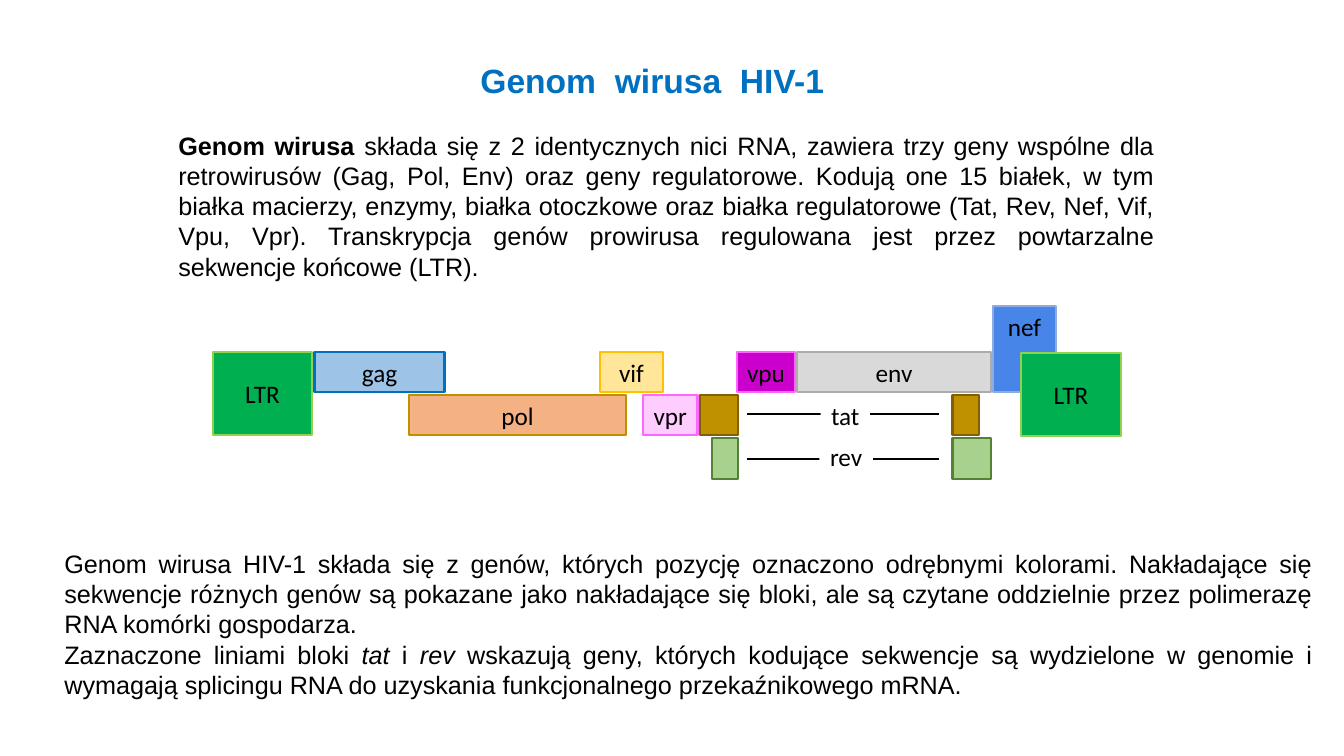
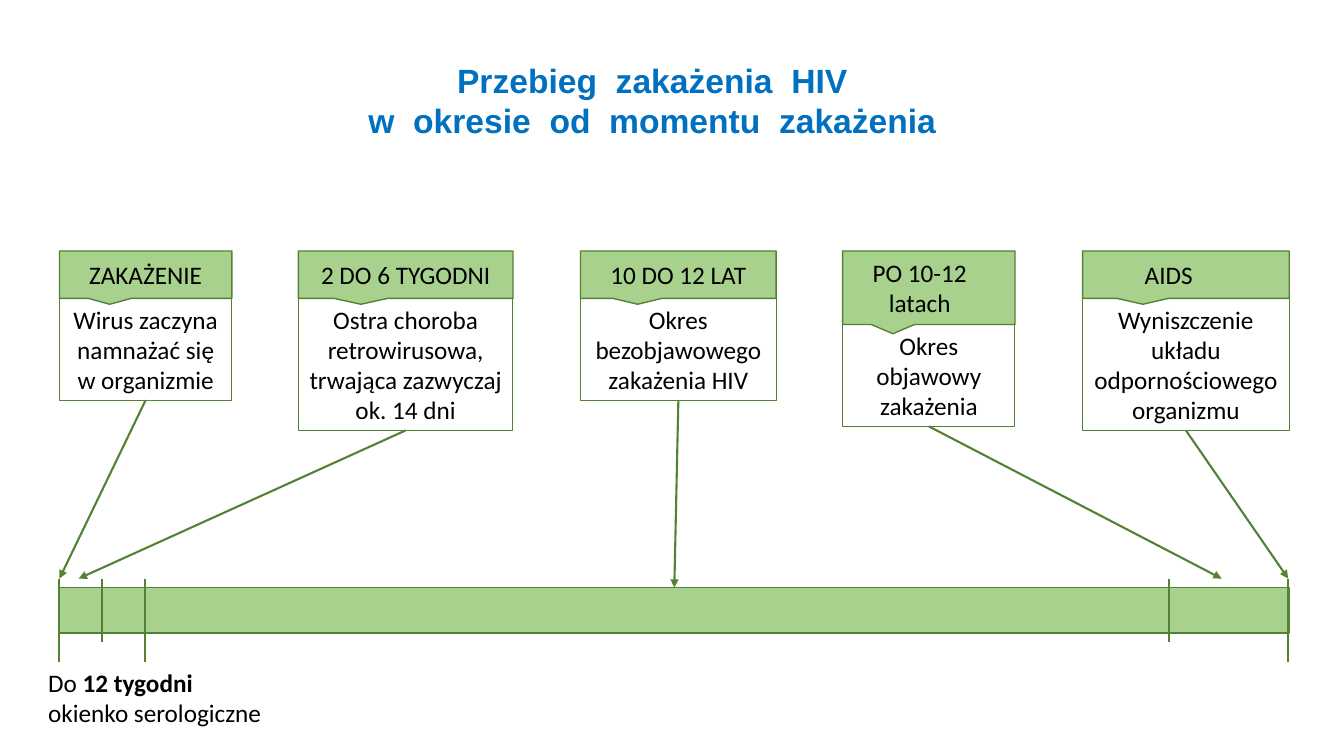
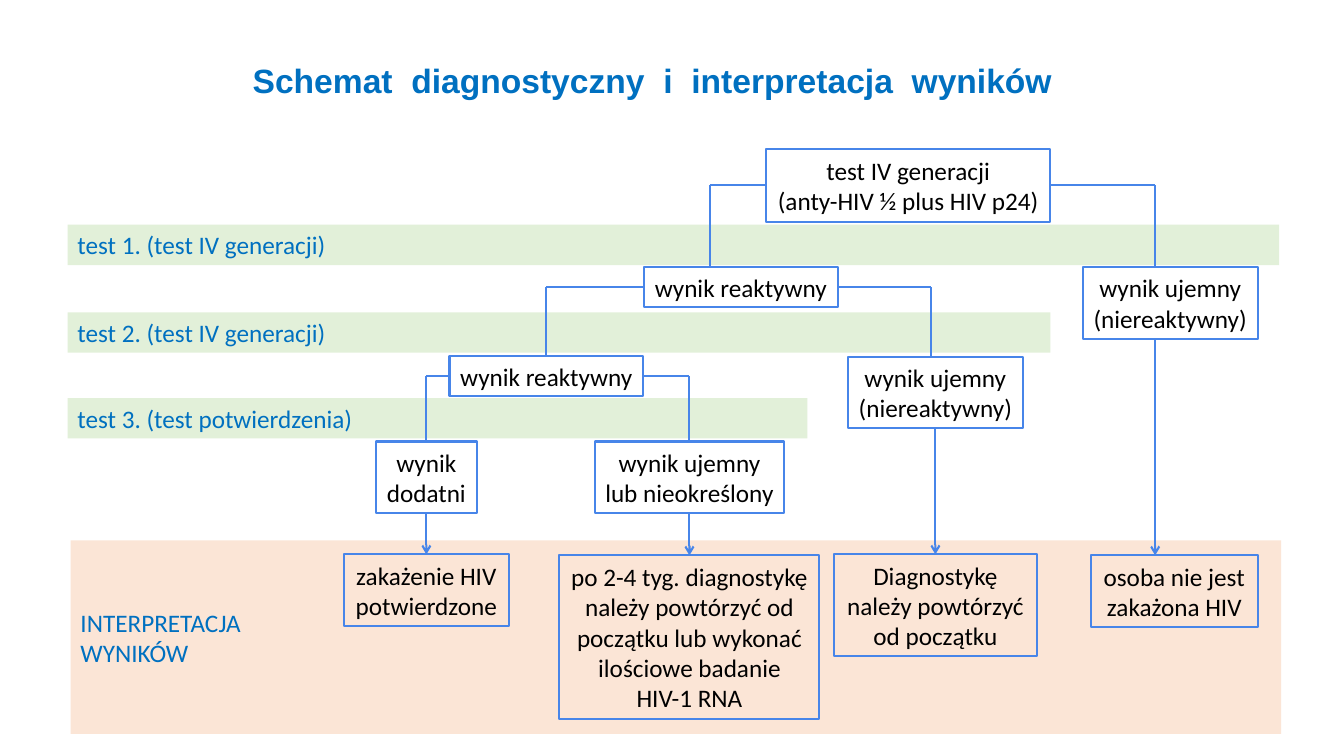
from dataclasses import dataclass

from lxml import etree
from pptx import Presentation
from pptx.dml.color import RGBColor
from pptx.enum.shapes import MSO_CONNECTOR, MSO_SHAPE
from pptx.enum.text import MSO_ANCHOR, MSO_AUTO_SIZE, PP_ALIGN
from pptx.oxml.ns import qn
from pptx.util import Pt

PX = 9144
TITLE_ONLY = 5
RECT, CALLOUT = MSO_SHAPE.RECTANGLE, MSO_SHAPE.RECTANGULAR_CALLOUT
STRAIGHT = MSO_CONNECTOR.STRAIGHT
LEFT, CENTER, JUSTIFY = PP_ALIGN.LEFT, PP_ALIGN.CENTER, PP_ALIGN.JUSTIFY
TOP, MIDDLE = MSO_ANCHOR.TOP, MSO_ANCHOR.MIDDLE
FIXED = MSO_AUTO_SIZE.NONE
TOP_SIDE, LEFT_SIDE, BOTTOM_SIDE, RIGHT_SIDE = range(4)


@dataclass(frozen=True)
class Theme:
    """Colours, fonts and type sizes of the deck."""

    title: str = "0070C0"
    ink: str = "000000"
    white: str = "FFFFFF"
    green: str = "A9D18E"
    green_edge: str = "548235"
    ltr: str = "00B050"
    ltr_edge: str = "92D050"
    gold: str = "BF9000"
    gold_edge: str = "806000"
    pink_edge: str = "FF66FF"
    blue: str = "4785E9"
    pale_green: str = "E2F0D9"
    peach: str = "FBE5D6"
    title_font: str = "Arial"
    text_font: str = "Calibri"
    title_size: int = 24
    text_size: int = 18
    word_gap: int = 667
    edge: float = 1.5


THEME = Theme()


class Deck:
    """Holds the presentation, its style and the current page."""

    def __init__(self, theme):
        self.theme = theme
        self.show = Presentation()
        self.show.slide_width, self.show.slide_height = 12192000, 6858000
        self.page = None

    def style(self, span, font, size, color, bold=False, italic=False):
        """Format one run."""
        span.font.name, span.font.size = font, Pt(size)
        span.font.bold, span.font.italic = bold, italic
        span.font.color.rgb = RGBColor.from_string(color)

    def new_page(self, title, height=50):
        """Start a page with a title whose words are set wide apart."""
        theme = self.theme
        self.page = self.show.slides.add_slide(self.show.slide_layouts[TITLE_ONLY])
        box = self.page.shapes.title
        box.left, box.top, box.width, box.height = [
            n * PX for n in (167, 54, 960, height)]
        frame = box.text_frame
        frame.auto_size, frame.vertical_anchor = FIXED, TOP
        for i, line in enumerate(title.split("\n")):
            para = frame.add_paragraph() if i else frame.paragraphs[0]
            para.alignment = CENTER
            for j, word in enumerate(line.split()):
                if j:
                    gap = para.add_run()
                    gap.text = " "
                    gap._r.get_or_add_rPr().set("spc", str(theme.word_gap))
                para.add_run().text = word
            for span in para.runs:
                self.style(span, theme.title_font, theme.title_size, theme.title, True)

    def set_text(self, frame, text, color=None, align=CENTER, anchor=MIDDLE, wrap=False):
        """Fill a frame with plain lines."""
        theme = self.theme
        frame.word_wrap, frame.vertical_anchor = wrap, anchor
        frame.text = text
        for para in frame.paragraphs:
            para.alignment = align
            for span in para.runs:
                self.style(span, theme.text_font, theme.text_size, color or theme.ink)

    def rich_text(self, at, paragraphs, font, align):
        """Add a text box of paragraphs made of (words, look) spans."""
        box = self.page.shapes.add_textbox(*[n * PX for n in at])
        frame = box.text_frame
        frame.word_wrap = True
        for i, spans in enumerate(paragraphs):
            para = frame.add_paragraph() if i else frame.paragraphs[0]
            para.alignment = align
            for words, look in spans:
                span = para.add_run()
                span.text = words
                self.style(span, font, self.theme.text_size, self.theme.ink,
                           look == "bold", look == "italic")

    def shape(self, at, text="", fill=None, edge=None, width=None, kind=RECT, **setting):
        """Add a preset shape with its text."""
        box = self.page.shapes.add_shape(kind, *[n * PX for n in at])
        box.shadow.inherit = False
        if fill:
            box.fill.solid()
            box.fill.fore_color.rgb = RGBColor.from_string(fill)
        else:
            box.fill.background()
        if edge:
            box.line.color.rgb = RGBColor.from_string(edge)
            box.line.width = Pt(width or self.theme.edge)
        else:
            box.line.fill.background()
        if text:
            self.set_text(box.text_frame, text, **setting)
        return box

    def line(self, start, end, color, arrow=None):
        """Draw a line between ends given as (x, y) or (shape, side)."""
        joined = [not isinstance(point[0], int) for point in (start, end)]
        x1, y1 = (0, 0) if joined[0] else start
        x2, y2 = (0, 0) if joined[1] else end
        link = self.page.shapes.add_connector(
            STRAIGHT, x1 * PX, y1 * PX, x2 * PX, y2 * PX)
        if joined[0]:
            link.begin_connect(*start)
        if joined[1]:
            link.end_connect(*end)
        link.line.color.rgb = RGBColor.from_string(color)
        link.line.width = Pt(self.theme.edge)
        if arrow:
            etree.SubElement(link.line._get_or_add_ln(), qn("a:tailEnd"), type=arrow)
        etree.SubElement(link._element.spPr, qn("a:effectLst"))


def genome_page(deck):
    """Build the gene map."""
    theme = deck.theme
    deck.new_page("Genom wirusa HIV-1")
    deck.rich_text((167, 124, 988, 162), [[
        ("Genom wirusa ", "bold"),
        ("składa się z 2 identycznych nici RNA, zawiera trzy geny wspólne dla "
         "retrowirusów (Gag, Pol, Env) oraz geny regulatorowe. Kodują one 15 białek, "
         "w tym białka macierzy, enzymy, białka otoczkowe oraz białka regulatorowe "
         "(Tat, Rev, Nef, Vif, Vpu, Vpr). Transkrypcja genów prowirusa regulowana "
         "jest przez powtarzalne sekwencje końcowe (LTR).", ""),
    ]], theme.title_font, JUSTIFY)

    upper, middle, lower = 349, 392, 435
    genes = [
        ("gag", 312, upper, 129, "9DC3E6", "0070C0"),
        ("pol", 406, middle, 215, "F4B183", theme.gold),
        ("vif", 595, upper, 63, "FFE699", "FFC000"),
        ("vpr", 638, middle, 54, "FFCCFF", theme.pink_edge),
        ("", 694, middle, 38, theme.gold, theme.gold_edge),
        ("", 945, middle, 26, theme.gold, theme.gold_edge),
        ("", 706, lower, 26, theme.green, theme.green_edge),
        ("", 945, lower, 38, theme.green, theme.green_edge),
        ("vpu", 731, upper, 58, "CC00CC", theme.pink_edge),
        ("env", 791, upper, 192, "D9D9D9", "AFABAB"),
    ]
    for name, left, top, width, fill, edge in genes:
        deck.shape((left, top, width, 40), name, fill, edge)
    deck.shape((985, 304, 63, 85), "nef", theme.blue, "8FAADC", anchor=TOP)
    for left, top in ((211, 349), (1013, 350)):
        deck.shape((left, top, 99, 83), "LTR", theme.ltr, theme.ltr_edge)
    for name, left, top, width, y in (("tat", 814, 392, 49, 411),
                                      ("rev", 813, 433, 53, 455)):
        deck.line((741, y), (932, y), theme.ink)
        deck.shape((left, top, width, 40), name, theme.white)

    deck.rich_text((54, 539, 1258, 162), [
        [("Genom wirusa HIV-1 składa się z genów, których pozycję oznaczono odrębnymi "
          "kolorami. Nakładające się sekwencje różnych genów są pokazane jako "
          "nakładające się bloki, ale są czytane oddzielnie przez polimerazę RNA "
          "komórki gospodarza.", "")],
        [("Zaznaczone liniami bloki ", ""), ("tat", "italic"), (" i ", ""),
         ("rev", "italic"),
         (" wskazują geny, których kodujące sekwencje są wydzielone w genomie i "
          "wymagają splicingu RNA do uzyskania funkcjonalnego przekaźnikowego mRNA.",
          "")],
    ], theme.title_font, JUSTIFY)


def course_page(deck):
    """Build the timeline of the infection."""
    theme = deck.theme
    edge = theme.green_edge
    deck.new_page("Przebieg zakażenia HIV\nw okresie od momentu zakażenia", 91)
    timeline = deck.shape((59, 583, 1220, 45), "", theme.green, edge, 1)
    stages = [
        ("ZAKAŻENIE", "Wirus zaczyna\nnamnażać się\nw organizmie",
         59, 171, 47, 101, 0, (59, 574)),
        ("2 DO 6 TYGODNI", "Ostra choroba retrowirusowa, trwająca zazwyczaj ok. 14 dni",
         296, 213, 47, 131, 0, (78, 574)),
        ("10 DO 12 LAT", "Okres bezobjawowego zakażenia HIV",
         576, 194, 47, 101, 0, (timeline, TOP_SIDE)),
        ("PO 10-12\nlatach", "Okres objawowy zakażenia",
         836, 171, 73, 101, 9, (1212, 574)),
        ("AIDS", "Wyniszczenie układu odpornościowego organizmu",
         1074, 205, 47, 131, 17, (1278, 574)),
    ]
    for head, text, left, width, head_height, height, shift, target in stages:
        body = deck.shape((left, 249 + head_height, width, height), text,
                          edge=edge, width=0.75, wrap=True)
        label = deck.shape((left, 249, width, head_height), head, theme.green, edge, 1,
                           CALLOUT, wrap=True)
        label.text_frame.margin_right = (10 + 2 * shift) * PX
        deck.line((body, BOTTOM_SIDE), target, edge, "triangle")
    for x, bottom in ((59, 657), (144, 657), (1278, 657), (101, 637), (1160, 637)):
        deck.line((x, 574), (x, bottom), edge)
    deck.rich_text((38, 657, 250, 71), [
        [("Do ", ""), ("12 tygodni", "bold")],
        [("okienko serologiczne", "")],
    ], theme.text_font, LEFT)


def diagnosis_page(deck):
    """Build the decision tree of the tests."""
    theme = deck.theme
    blue = theme.blue
    deck.new_page("Schemat diagnostyczny i interpretacja wyników")
    bands = [
        ("INTERPRETACJA\nWYNIKÓW", (70, 536, 1201, 192), theme.peach),
        ("test 1. (test IV generacji)", (67, 223, 1202, 40), theme.pale_green),
        ("test 2. (test IV generacji)", (67, 310, 975, 40), theme.pale_green),
        ("test 3. (test potwierdzenia)", (67, 395, 734, 40), theme.pale_green),
    ]
    for text, at, fill in bands:
        deck.shape(at, text, fill, color=theme.title, align=LEFT, wrap=True)

    negative = "wynik ujemny\n(niereaktywny)"
    boxes = {
        "start": ("test IV generacji\n(anty-HIV ½ plus HIV p24)", (760, 148, 282, 72)),
        "reactive 1": ("wynik reaktywny", (639, 265, 192, 40)),
        "negative 1": (negative, (1074, 265, 174, 71)),
        "reactive 2": ("wynik reaktywny", (446, 353, 192, 40)),
        "negative 2": (negative, (841, 354, 174, 71)),
        "positive": ("wynik\ndodatni", (373, 438, 100, 71)),
        "unclear": ("wynik ujemny\nlub nieokreślony", (590, 438, 188, 71)),
        "infected": ("zakażenie HIV\npotwierdzone", (341, 550, 164, 71)),
        "retest": ("po 2-4 tyg. diagnostykę\nnależy powtórzyć od\npoczątku lub wykonać\n"
                   "ilościowe badanie\nHIV-1 RNA", (555, 551, 258, 162)),
        "repeat": ("Diagnostykę\nnależy powtórzyć\nod początku", (827, 550, 202, 101)),
        "healthy": ("osoba nie jest\nzakażona HIV", (1082, 551, 166, 71)),
    }
    nodes = {name: deck.shape(at, text, edge=blue) for name, (text, at) in boxes.items()}

    branches = [
        ("start", LEFT_SIDE, (704, 184), (704, 265)),
        ("start", RIGHT_SIDE, (1146, 184), (1146, 264)),
        ("reactive 1", LEFT_SIDE, (542, 285), (nodes["reactive 2"], TOP_SIDE)),
        ("reactive 1", RIGHT_SIDE, (924, 285), (924, 353)),
        ("reactive 2", LEFT_SIDE, (423, 373), (nodes["positive"], TOP_SIDE)),
        ("reactive 2", RIGHT_SIDE, (684, 373), (nodes["unclear"], TOP_SIDE)),
    ]
    for parent, side, corner, end in branches:
        deck.line((nodes[parent], side), corner, blue)
        deck.line(corner, end, blue)
    for result, meaning in (("positive", "infected"), ("unclear", "retest"),
                            ("negative 2", "repeat")):
        deck.line((nodes[result], BOTTOM_SIDE), (nodes[meaning], TOP_SIDE), blue, "arrow")
    deck.line((1146, 336), (1146, 551), blue, "arrow")


def main():
    """Build and save the deck."""
    deck = Deck(THEME)
    for build in (genome_page, course_page, diagnosis_page):
        build(deck)
    deck.show.save("out.pptx")


if __name__ == "__main__":
    main()
